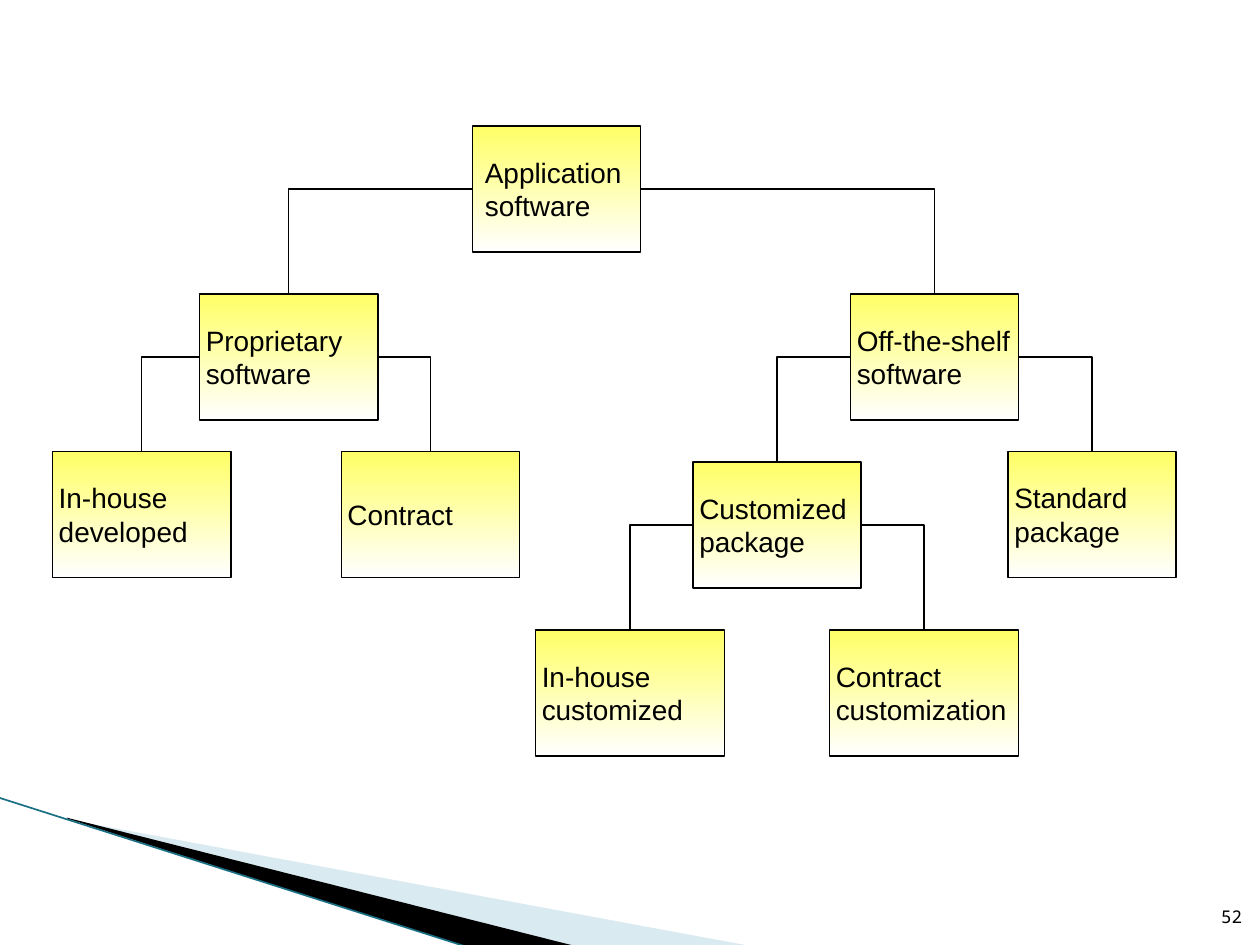
"""Builds the application software classification tree slide."""
import dataclasses

import pptx
import pptx.dml.color
import pptx.enum.shapes
import pptx.enum.text
import pptx.oxml.ns
import pptx.oxml.xmlchemy
import pptx.util


@dataclasses.dataclass(frozen=True)
class Theme:
    ink: str = "000000"
    box_top: str = "FFFF66"
    box_bottom: str = "FFFFFF"
    pale: str = "A0CBDC"
    teal: str = "1A6F83"
    font: str = "Arial"
    number_font: str = "Noto Sans Mono"
    text_size: float = 16
    number_size: float = 10
    line: float = 0.75
    edge: float = 0.95


THEME = Theme()
BOX_HEIGHT = 72
LEFT_SITE, RIGHT_SITE, TOP_SITE = 1, 3, 0

BOXES = {
    "root": ("Application software", 270, 72, 96),
    "shelf": ("Off-the-shelf software", 486, 168, 96),
    "standard": ("Standard package", 576, 258, 96),
    "customized": ("Customized package", 396, 264, 96),
    "contract": ("Contract", 195, 258, 102),
    "proprietary": ("Proprietary software", 114, 168, 102),
    "developed": ("In-house developed", 30, 258, 102),
    "in_house": ("In-house customized", 306, 360, 108),
    "customization": ("Contract customization", 474, 360, 108),
}
BRANCHES = {
    "root": ("proprietary", "shelf"),
    "proprietary": ("developed", "contract"),
    "shelf": ("customized", "standard"),
    "customized": ("in_house", "customization"),
}
WEDGES = [
    (THEME.pale, 40, [(39.6, 468.5), (428.4, 540.5), (328.3, 540.5), (39.6, 468)]),
    (THEME.ink, 100, [(38.2, 467.3), (329, 540.7), (267.8, 541.4), (38.9, 468)]),
]
EDGE = (-0.7, 455.8, 267.8, 541.4)
NUMBER = ("52", 681, 504.7, 28.8, 28.8)


def points(*values):
    return [pptx.util.Pt(value) for value in values]


def rgb(value):
    return pptx.dml.color.RGBColor.from_string(value)


def style_text(tf, size, font, align):
    for p in tf.paragraphs:
        p.alignment = align
        for r in p.runs:
            r.font.size = pptx.util.Pt(size)
            r.font.name = font
            r.font.color.rgb = rgb(THEME.ink)


def style_connector(cxn, color, width):
    cxn.line.color.rgb = rgb(color)
    cxn.line.width = pptx.util.Pt(width)
    cxn.element.spPr.append(pptx.oxml.xmlchemy.OxmlElement("a:effectLst"))


def add_wedge(s, color, opacity, corners):
    start, *rest = [points(*corner) for corner in corners]
    builder = s.shapes.build_freeform(*start)
    builder.add_line_segments(rest, close=True)
    sp = builder.convert_to_shape()
    sp.shadow.inherit = False
    sp.fill.solid()
    sp.fill.fore_color.rgb = rgb(color)
    sp.line.fill.background()
    if opacity < 100:
        alpha = pptx.oxml.xmlchemy.OxmlElement("a:alpha")
        alpha.set("val", str(opacity * 1000))
        sp.element.spPr.find(".//" + pptx.oxml.ns.qn("a:srgbClr")).append(alpha)


def add_box(s, text, left, top, width, inset):
    sp = s.shapes.add_shape(
        pptx.enum.shapes.MSO_SHAPE.RECTANGLE, *points(left, top, width, BOX_HEIGHT)
    )
    sp.shadow.inherit = False
    sp.fill.gradient()
    sp.fill.gradient_angle = 270
    for stop, color, position in zip(
        sp.fill.gradient_stops, (THEME.box_top, THEME.box_bottom), (0, 1)
    ):
        stop.color.rgb = rgb(color)
        stop.position = position
    sp.line.color.rgb = rgb(THEME.ink)
    sp.line.width = pptx.util.Pt(THEME.line)
    tf = sp.text_frame
    tf.text = text
    tf.word_wrap = True
    tf.vertical_anchor = pptx.enum.text.MSO_ANCHOR.MIDDLE
    tf.margin_left = tf.margin_right = pptx.util.Pt(inset)
    tf.margin_top = tf.margin_bottom = pptx.util.Pt(3.6)
    style_text(tf, THEME.text_size, THEME.font, pptx.enum.text.PP_ALIGN.LEFT)
    return sp


def add_branch(s, parent, child, site):
    cxn = s.shapes.add_connector(pptx.enum.shapes.MSO_CONNECTOR.ELBOW, 0, 0, 0, 0)
    cxn.begin_connect(parent, site)
    cxn.end_connect(child, TOP_SITE)
    geometry = cxn.element.spPr.find(pptx.oxml.ns.qn("a:prstGeom"))
    geometry.set("prst", "bentConnector2")
    style_connector(cxn, THEME.ink, THEME.line)


def add_number(s, text, *frame):
    tf = s.shapes.add_textbox(*points(*frame)).text_frame
    tf.text = text
    tf.word_wrap = True
    tf.margin_left = tf.margin_right = 0
    tf.vertical_anchor = pptx.enum.text.MSO_ANCHOR.BOTTOM
    style_text(tf, THEME.number_size, THEME.number_font, pptx.enum.text.PP_ALIGN.RIGHT)


def main():
    prs = pptx.Presentation()
    prs.slide_width, prs.slide_height = points(720, 540)
    s = prs.slides.add_slide(prs.slide_layouts[6])
    for wedge in WEDGES:
        add_wedge(s, *wedge)
    edge = s.shapes.add_connector(
        pptx.enum.shapes.MSO_CONNECTOR.STRAIGHT, *points(*EDGE)
    )
    style_connector(edge, THEME.teal, THEME.edge)
    add_number(s, *NUMBER)
    boxes = {
        key: add_box(s, *box, inset=7.2 if key == "root" else 3.6)
        for key, box in BOXES.items()
    }
    for parent, children in BRANCHES.items():
        for child, site in zip(children, (LEFT_SITE, RIGHT_SITE)):
            add_branch(s, boxes[parent], boxes[child], site)
    prs.save("out.pptx")


if __name__ == "__main__":
    main()
